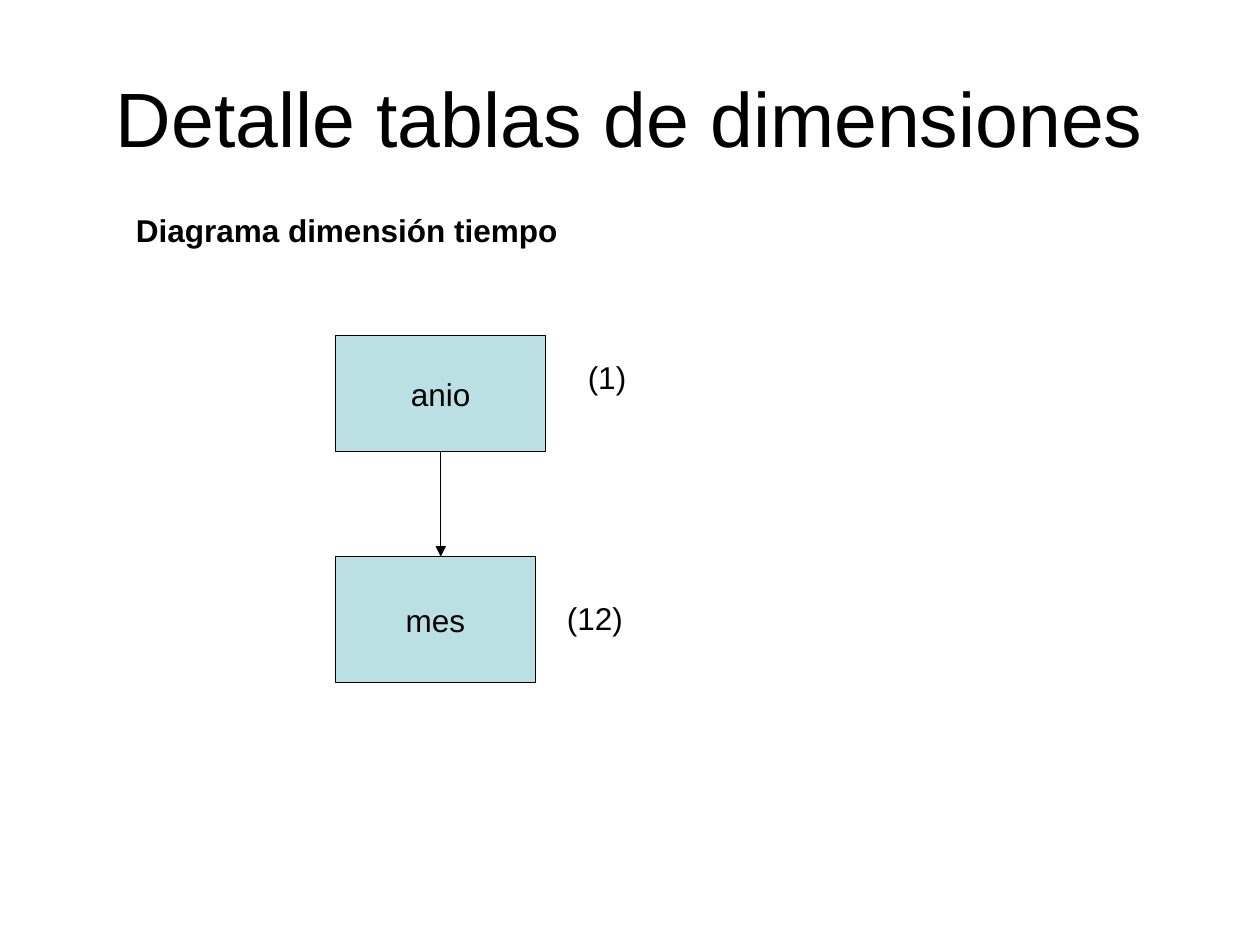
from dataclasses import dataclass

from lxml import etree
from pptx import Presentation
from pptx import util as u
from pptx.dml.color import RGBColor
from pptx.enum import shapes, text
from pptx.oxml.ns import qn


@dataclass(frozen=True)
class Theme:
    font: str = "Arial"
    ink: RGBColor = RGBColor(0, 0, 0)
    level_fill: RGBColor = RGBColor(0xBB, 0xE0, 0xE3)
    title_size: int = 44
    body_size: int = 18
    line_width: float = 0.75


THEME = Theme()

# Positions are left, top, width, height in centimetres.
TITLE = ("Detalle tablas de dimensiones", (1.27, 0.76, 22.86, 3.18))
SUBTITLE = ("Diagrama dimensión tiempo", (2.49, 4.12, 9.02, 1.02))
LEVELS = [
    ("anio", (6.77, 6.77, 4.23, 2.33)),
    ("mes", (6.77, 11.22, 4.02, 2.54)),
]
COUNTS = [
    ("(1)", (11.6, 7.09, 1.3, 1.02)),
    ("(12)", (11.18, 11.96, 1.65, 1.02)),
]


def cm(box):
    return [u.Cm(value) for value in box]


def write(shape, words, size=THEME.body_size, bold=False, centred=False, wrap=False):
    frame = shape.text_frame
    frame.text = words
    frame.word_wrap = wrap
    frame.vertical_anchor = text.MSO_ANCHOR.MIDDLE if centred else text.MSO_ANCHOR.TOP
    paragraph = frame.paragraphs[0]
    paragraph.alignment = text.PP_ALIGN.CENTER if centred else text.PP_ALIGN.LEFT
    font = paragraph.runs[0].font
    font.name, font.size, font.bold = THEME.font, u.Pt(size), bold
    font.color.rgb = THEME.ink


def add_label(slide, words, box, **style):
    label = slide.shapes.add_textbox(*cm(box))
    write(label, words, **style)
    return label


def outline(shape):
    shape.line.color.rgb = THEME.ink
    shape.line.width = u.Pt(THEME.line_width)


def add_level(slide, words, box):
    level = slide.shapes.add_shape(shapes.MSO_SHAPE.RECTANGLE, *cm(box))
    level.shadow.inherit = False
    level.fill.solid()
    level.fill.fore_color.rgb = THEME.level_fill
    outline(level)
    write(level, words, centred=True)
    return level


def add_arrow(slide, upper, lower):
    """Drop a vertical arrow from the middle of the upper level to the lower one."""
    middle = upper.left + upper.width // 2
    arrow = slide.shapes.add_connector(
        shapes.MSO_CONNECTOR.STRAIGHT, middle, upper.top + upper.height, middle, lower.top
    )
    outline(arrow)
    etree.SubElement(arrow.line._get_or_add_ln(), qn("a:tailEnd"), type="triangle")
    etree.SubElement(arrow._element.spPr, qn("a:effectLst"))


def main():
    deck = Presentation()
    deck.slide_width, deck.slide_height = u.Cm(25.4), u.Cm(19.05)
    slide = deck.slides.add_slide(deck.slide_layouts[6])

    add_label(slide, *TITLE, size=THEME.title_size, centred=True, wrap=True)
    add_label(slide, *SUBTITLE, bold=True)
    levels = [add_level(slide, *level) for level in LEVELS]
    for count in COUNTS:
        add_label(slide, *count).text_frame.auto_size = text.MSO_AUTO_SIZE.SHAPE_TO_FIT_TEXT
    for upper, lower in zip(levels, levels[1:]):
        add_arrow(slide, upper, lower)

    deck.save("out.pptx")


if __name__ == "__main__":
    main()
